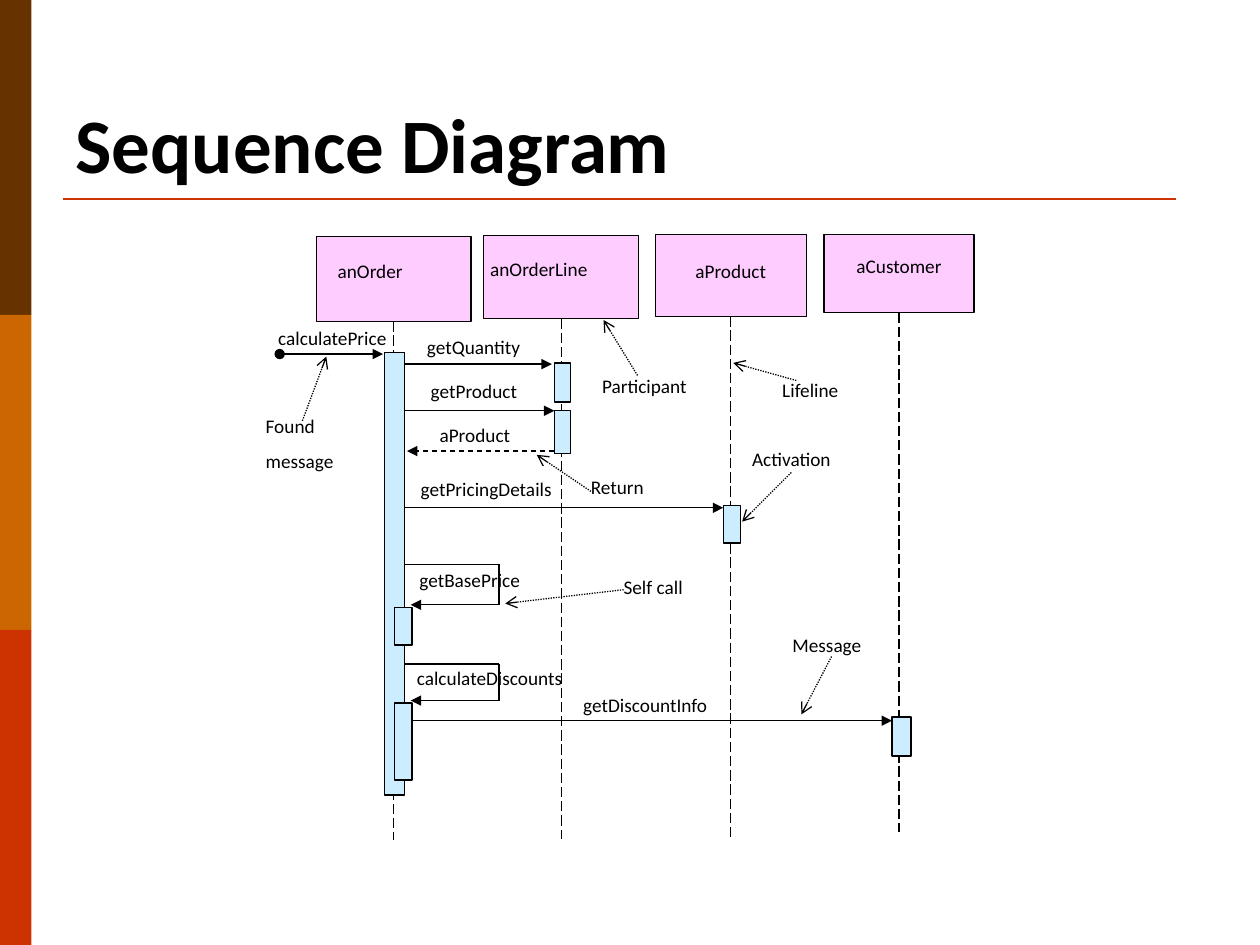
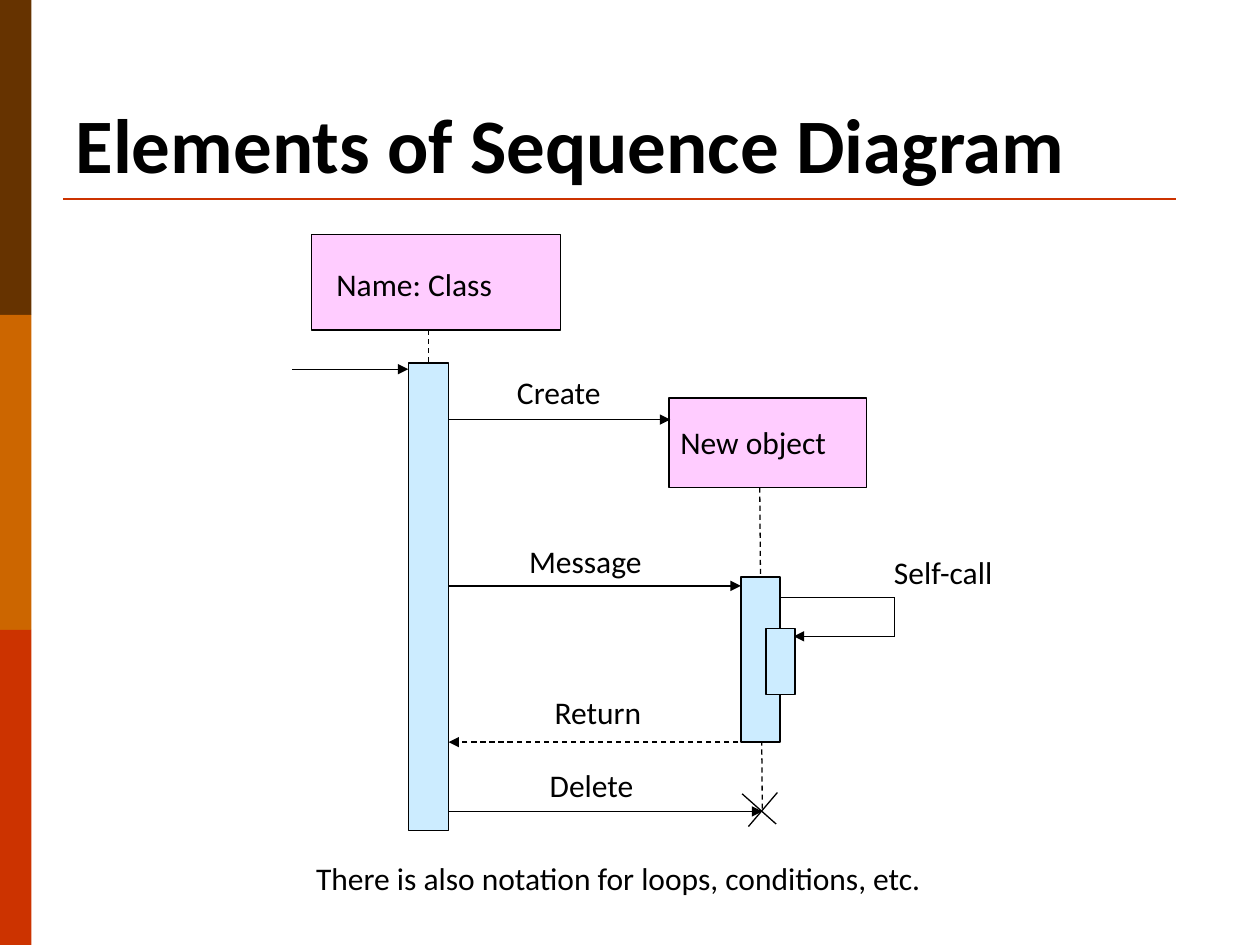
from dataclasses import dataclass

from lxml.etree import SubElement
from pptx import Presentation
from pptx.dml.color import RGBColor
from pptx.enum.dml import MSO_LINE
from pptx.enum.shapes import MSO_CONNECTOR, MSO_SHAPE
from pptx.enum.text import MSO_ANCHOR, MSO_AUTO_SIZE, PP_ALIGN
from pptx.oxml.ns import qn
from pptx.util import Inches, Pt


@dataclass(frozen=True)
class Theme:
    font: str = "Calibri"
    ink: str = "000000"
    head: str = "FFCCFF"
    activation: str = "CCECFF"
    rule: str = "CC3300"
    bands: tuple = ("663300", "CC6600", "CC3300")
    title_size: float = 44
    small: float = 11
    large: float = 18
    thin: float = 0.75
    thick: float = 1.5


THEME = Theme()
LEFT, CENTER = PP_ALIGN.LEFT, PP_ALIGN.CENTER

# Line kinds: dash, arrowhead at the start, arrowhead at the end
PLAIN = (None, None, None)
CALL = (None, None, "triangle")
FOUND = (None, "oval", "triangle")
RETURN = (MSO_LINE.DASH, None, "triangle")
DASHED = (MSO_LINE.DASH, None, None)
LIFELINE = (MSO_LINE.LONG_DASH, None, None)
POINTER = (MSO_LINE.ROUND_DOT, None, "arrow")

# Content of the order example
# Heads: name, (left, top, width, height), alignment, (left inset, top inset), lifeline end
ORDER_HEADS = [
    ("anOrder", (2.51, 1.88, 1.23, 0.67), LEFT, (0.17, 0.18), 6.67),
    ("anOrderLine", (3.84, 1.87, 1.23, 0.66), LEFT, (0.05, 0.17), 6.66),
    ("aProduct", (5.2, 1.86, 1.2, 0.65), CENTER, (0, 0.2), 6.65),
    ("aCustomer", (6.54, 1.86, 1.19, 0.62), CENTER, (0, 0.16), 6.6),
]
ORDER_ACTIVATIONS = [
    (3.05, 2.8, 0.16, 3.51),
    (3.13, 4.82, 0.14, 0.3),
    (3.13, 5.58, 0.14, 0.61),
    (4.4, 2.88, 0.13, 0.31),
    (4.4, 3.26, 0.13, 0.34),
    (5.74, 4.01, 0.14, 0.3),
    (7.08, 5.69, 0.15, 0.31),
]
# Messages: kind, from x, to x, y
ORDER_MESSAGES = [
    (FOUND, 2.22, 3.04, 2.81),
    (CALL, 3.21, 4.38, 2.89),
    (CALL, 3.21, 4.4, 3.26),
    (RETURN, 4.4, 3.23, 3.58),
    (CALL, 3.21, 5.74, 4.03),
    (CALL, 3.26, 7.08, 5.72),
]
# Self calls: start x, right x, end x, top, bottom
ORDER_SELF_CALLS = [(3.21, 3.96, 3.26, 4.48, 4.8), (3.21, 3.96, 3.26, 5.27, 5.56)]
# Pointers: from x, from y, to x, to y
ORDER_POINTERS = [
    (2.4, 3.34, 2.59, 2.83),
    (5.06, 2.98, 4.79, 2.54),
    (6.32, 3.02, 5.82, 2.88),
    (4.69, 3.9, 4.26, 3.61),
    (6.28, 3.75, 5.89, 4.14),
    (4.95, 4.68, 4.01, 4.79),
    (6.6, 5.21, 6.36, 5.67),
]
# Labels: lines of text, left, top, width
ORDER_LABELS = [
    (["calculatePrice"], 2.11, 2.54, 1.19),
    (["getQuantity"], 3.29, 2.61, 1.19),
    (["getProduct"], 3.32, 2.96, 1.19),
    (["aProduct"], 3.39, 3.31, 1.19),
    (["getPricingDetails"], 3.24, 3.74, 1.29),
    (["getBasePrice"], 3.23, 4.46, 1.29),
    (["calculateDiscounts"], 3.21, 5.24, 1.38),
    (["getDiscountInfo"], 4.53, 5.45, 1.38),
    (["Found", "message"], 2.01, 3.24, 0.89),
    (["Participant"], 4.68, 2.92, 0.89),
    (["Lifeline"], 6.11, 2.95, 0.89),
    (["Return"], 4.59, 3.72, 0.89),
    (["Activation"], 5.87, 3.5, 0.89),
    (["Self call"], 4.85, 4.52, 0.89),
    (["Message"], 6.19, 4.98, 0.89),
]

# Content of the notation overview
NOTATION_HEADS = [
    ("Name: Class", (2.47, 1.86, 1.98, 0.76), LEFT, (0.2, 0.24)),
    ("New object", (5.31, 3.16, 1.57, 0.71), LEFT, (0.09, 0.2)),
]
CALLER_ACTIVATION = (3.24, 2.88, 0.32, 3.71)
OBJECT_ACTIVATIONS = [(5.88, 4.58, 0.31, 1.31), (6.08, 4.99, 0.23, 0.52)]
NOTATION_MESSAGES = [
    (CALL, 2.32, 3.24, 2.93),
    (CALL, 3.56, 5.32, 3.33),
    (CALL, 3.56, 5.88, 4.65),
    (RETURN, 5.86, 3.56, 5.89),
    (CALL, 3.56, 6.05, 6.44),
]
NOTATION_SELF_CALL = (6.2, 7.1, 6.3, 4.74, 5.05)
DELETE_CROSS = [(5.89, 6.3, 6.16, 6.54), (6.17, 6.29, 5.94, 6.56)]
NOTATION_LABELS = [
    ("Create", 3.54, 2.91),
    ("Message", 3.75, 4.25),
    ("Return", 3.85, 5.45),
    ("Delete", 3.8, 6.03),
    ("Self-call", 6.59, 4.34),
]
NOTATION_NOTE = "There is also notation for loops, conditions, etc."


# Drawing helpers
def color(value):
    return RGBColor.from_string(value)


def style_font(paragraph, size, bold=False):
    paragraph.font.name = THEME.font
    paragraph.font.size = Pt(size)
    paragraph.font.bold = bold
    paragraph.font.color.rgb = color(THEME.ink)


def add_rectangle(page, place, fill, outlined=True):
    box = page.shapes.add_shape(MSO_SHAPE.RECTANGLE, *map(Inches, place))
    box.shadow.inherit = False
    box.fill.solid()
    box.fill.fore_color.rgb = color(fill)
    if outlined:
        box.line.color.rgb = color(THEME.ink)
        box.line.width = Pt(THEME.thin)
    else:
        box.line.fill.background()
    return box


def add_line(page, points, kind=PLAIN, stroke=THEME.ink, width=THEME.thin):
    dash, start_arrow, end_arrow = kind
    line = page.shapes.add_connector(MSO_CONNECTOR.STRAIGHT, *map(Inches, points))
    line.line.color.rgb = color(stroke)
    line.line.width = Pt(width)
    if dash is not None:
        line.line.dash_style = dash
    for tag, arrow in (("a:headEnd", start_arrow), ("a:tailEnd", end_arrow)):
        if arrow:
            SubElement(line.get_or_add_ln(), qn(tag)).set("type", arrow)
    SubElement(line.element.spPr, qn("a:effectLst"))
    return line


def add_label(page, lines, left, top, width, size, align=LEFT):
    spacing = size * 0.625
    height = 0.1 + (len(lines) * size * 1.22 + (len(lines) - 1) * spacing) / 72
    box = page.shapes.add_textbox(*map(Inches, (left, top, width, height)))
    frame = box.text_frame
    frame.word_wrap = True
    frame.text = "\n".join(lines)
    for index, para in enumerate(frame.paragraphs):
        para.alignment = align
        para.space_before = Pt(spacing if index else 0)
        style_font(para, size)


def add_head(page, name, place, align, insets, size):
    head = add_rectangle(page, place, THEME.head)
    frame = head.text_frame
    frame.word_wrap = True
    frame.vertical_anchor = MSO_ANCHOR.TOP
    frame.margin_left, frame.margin_top = map(Inches, insets)
    frame.margin_right = frame.margin_bottom = 0
    frame.text = name
    frame.paragraphs[0].alignment = align
    style_font(frame.paragraphs[0], size)
    return head


def add_messages(page, messages):
    for kind, start, end, y in messages:
        add_line(page, (start, y, end, y), kind)


def add_self_call(page, start, right, end, top, bottom):
    add_line(page, (start, top, right, top))
    add_line(page, (right, top, right, bottom))
    add_line(page, (right, bottom, end, bottom), CALL)


# Shared frame: bands, rule and title place
def decorate_layout(layout, page):
    band_height = 7.5 / len(THEME.bands)
    parts = [
        add_rectangle(page, (0, row * band_height, 0.25, band_height), fill, outlined=False)
        for row, fill in enumerate(THEME.bands)
    ]
    parts.append(add_line(page, (0.5, 1.58, 9.33, 1.58), stroke=THEME.rule, width=THEME.thick))
    for part in parts:
        layout.shapes.element.append(part.element)


def set_title(page, text):
    title = page.shapes.title
    title.left, title.top, title.width, title.height = map(Inches, (0.5, 0.3, 9, 1.25))
    frame = title.text_frame
    frame.text = text
    frame.auto_size = MSO_AUTO_SIZE.NONE
    frame.vertical_anchor = MSO_ANCHOR.BOTTOM
    frame.paragraphs[0].alignment = LEFT
    style_font(frame.paragraphs[0], THEME.title_size, bold=True)


# Slides
def draw_order_example(page):
    set_title(page, "Sequence Diagram")
    for name, place, align, insets, life_end in ORDER_HEADS:
        head = add_head(page, name, place, align, insets, THEME.small)
        left, top, width, height = place
        middle = left + width / 2
        lifeline = add_line(page, (middle, top + height, middle, life_end), LIFELINE)
        lifeline.begin_connect(head, 2)
    add_messages(page, ORDER_MESSAGES)
    for self_call in ORDER_SELF_CALLS:
        add_self_call(page, *self_call)
    for pointer in ORDER_POINTERS:
        add_line(page, pointer, POINTER)
    for lines, left, top, width in ORDER_LABELS:
        add_label(page, lines, left, top, width, THEME.small)
    for place in ORDER_ACTIVATIONS:
        add_rectangle(page, place, THEME.activation)


def draw_notation(page):
    set_title(page, "Elements of Sequence Diagram")
    for head in NOTATION_HEADS:
        add_head(page, *head, THEME.large)
    caller = add_rectangle(page, CALLER_ACTIVATION, THEME.activation)
    add_line(page, (3.4, 2.62, 3.4, 2.88), DASHED).end_connect(caller, 0)
    add_line(page, (6.03, 3.87, 6.05, 6.44), DASHED)
    add_messages(page, NOTATION_MESSAGES)
    add_self_call(page, *NOTATION_SELF_CALL)
    for stroke in DELETE_CROSS:
        add_line(page, stroke)
    for text, left, top in NOTATION_LABELS:
        add_label(page, [text], left, top, 1.79, THEME.large, CENTER)
    for place in OBJECT_ACTIVATIONS:
        add_rectangle(page, place, THEME.activation)
    add_label(page, [NOTATION_NOTE], 2.41, 6.77, 5.69, THEME.large)


def main():
    deck = Presentation()
    deck.slide_width, deck.slide_height = Inches(10), Inches(7.5)
    layout = deck.slide_layouts[5]
    pages = [deck.slides.add_slide(layout) for _ in range(2)]
    decorate_layout(layout, pages[0])
    draw_order_example(pages[0])
    draw_notation(pages[1])
    deck.save("out.pptx")


if __name__ == "__main__":
    main()
